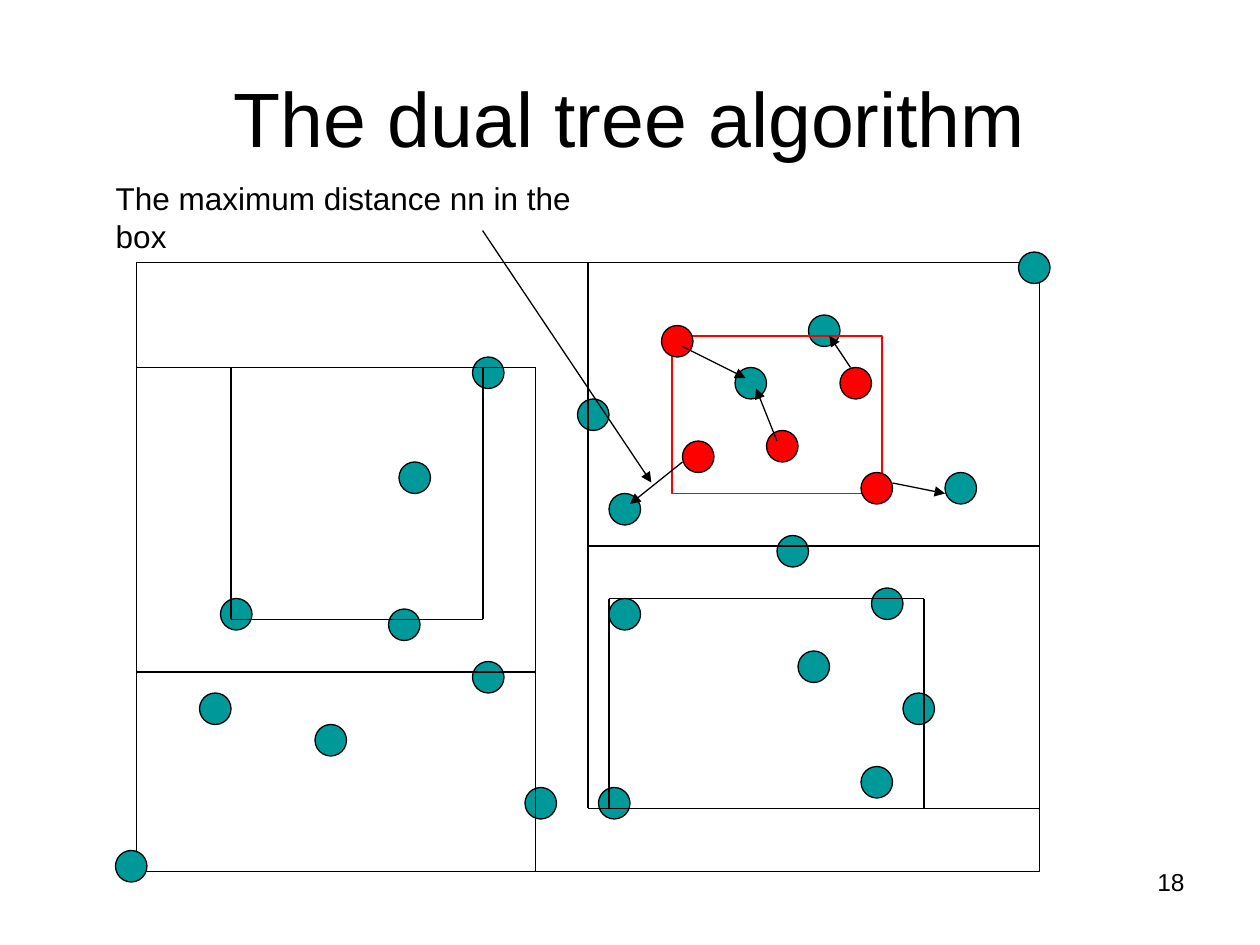
from pptx import Presentation
from pptx.dml.color import RGBColor
from pptx.enum.shapes import MSO_CONNECTOR, MSO_SHAPE
from pptx.enum.text import MSO_ANCHOR, PP_ALIGN
from pptx.oxml.ns import qn
from pptx.util import Inches, Pt
from lxml import etree

BLACK = RGBColor(0x00, 0x00, 0x00)
TEAL = RGBColor(0x00, 0x99, 0x99)
RED = RGBColor(0xFF, 0x00, 0x00)
FONT = "Arial"
STRAIGHT = MSO_CONNECTOR.STRAIGHT
RECTANGLE, OVAL = MSO_SHAPE.RECTANGLE, MSO_SHAPE.OVAL
LEFT, CENTER, RIGHT = PP_ALIGN.LEFT, PP_ALIGN.CENTER, PP_ALIGN.RIGHT
TOP, MIDDLE = MSO_ANCHOR.TOP, MSO_ANCHOR.MIDDLE
TOP_SIDE = 0

# The diagram lies on a grid of twelfths of an inch.
GRID = Inches(1) // 12
DOT_SIZE = 3 * GRID

# Grid steps from the top left corner of the whole space
REFERENCE_DOTS = [
    (25, 19), (6, 41), (32, 9), (42, 13), (63, 37), (17, 44), (8, 32),
    (37, 50), (64, 5), (45, 32), (24, 33), (32, 38), (84, -1), (61, 26),
    (77, 20), (-2, 56), (44, 50), (69, 48), (70, 31), (73, 41), (45, 22),
]
MAIN_SPLIT = ((43, 0), (43, 52))
SPLITS = [
    ((43, 52), (86, 52)), ((38, 58), (38, 10)), ((38, 10), (0, 10)),
    ((86, 27), (43, 27)), ((45, 52), (45, 32)), ((45, 32), (75, 32)),
    ((75, 32), (75, 52)), ((38, 39), (0, 39)), ((9, 10), (9, 34)),
    ((9, 34), (33, 34)), ((33, 34), (33, 10)),
]

# Grid steps from the top left corner of the query box
QUERY_DOTS = [(-1, -1), (1, 10), (18, 13), (16, 3), (9, 9)]
INNER_NEIGHBOR = (6, 3)
NEIGHBOR_ARROWS = [
    ((1, 12), (-4, 16)), ((17, 3), (15, 0)), ((10, 10), (8, 5)),
    ((1, 1), (7, 4)), ((21, 14), (26, 15)),
]


def add_text(slide, box, text, size, alignment=LEFT, anchor=TOP, wrap=True):
    text_frame = slide.shapes.add_textbox(*box).text_frame
    text_frame.word_wrap = wrap
    text_frame.vertical_anchor = anchor
    text_frame.text = text
    paragraph = text_frame.paragraphs[0]
    paragraph.alignment = alignment
    font = paragraph.runs[0].font
    font.name, font.size = FONT, Pt(size)
    font.color.rgb = BLACK


def add_outlined(slide, kind, box, line_color, fill_color=None):
    shape = slide.shapes.add_shape(kind, *box)
    shape.shadow.inherit = False
    if fill_color is None:
        shape.fill.background()
    else:
        shape.fill.solid()
        shape.fill.fore_color.rgb = fill_color
    shape.line.color.rgb = line_color
    shape.line.width = Pt(0.75)
    return shape


def add_line(slide, start, end, arrow=False):
    connector = slide.shapes.add_connector(STRAIGHT, *start, *end)
    connector.line.color.rgb = BLACK
    connector.line.width = Pt(0.75)
    if arrow:
        line_element = connector.line._get_or_add_ln()
        etree.SubElement(line_element, qn("a:tailEnd"), type="triangle")
    etree.SubElement(connector._element.spPr, qn("a:effectLst"))
    return connector


def grid_point(box, step):
    """Turn grid steps from the corner of the box into a slide position."""
    return box[0] + step[0] * GRID, box[1] + step[1] * GRID


def add_dot(slide, box, step, color):
    dot_box = (*grid_point(box, step), DOT_SIZE, DOT_SIZE)
    add_outlined(slide, OVAL, dot_box, BLACK, color)


def add_reference_tree(slide, box):
    space = add_outlined(slide, RECTANGLE, box, BLACK)
    for step in REFERENCE_DOTS:
        add_dot(slide, box, step, TEAL)
    main_split = add_line(slide, *(grid_point(box, step) for step in MAIN_SPLIT))
    main_split.begin_connect(space, TOP_SIDE)
    for start, end in SPLITS:
        add_line(slide, grid_point(box, start), grid_point(box, end))


def add_query_node(slide, box):
    """Draw the query box with arrows to the nearest neighbors."""
    add_outlined(slide, RECTANGLE, box, RED)
    for step in QUERY_DOTS:
        add_dot(slide, box, step, RED)
    add_dot(slide, box, INNER_NEIGHBOR, TEAL)
    for start, end in NEIGHBOR_ARROWS:
        add_line(slide, grid_point(box, start), grid_point(box, end), arrow=True)


def main():
    presentation = Presentation()
    presentation.slide_width, presentation.slide_height = Inches(10), Inches(7.5)
    slide = presentation.slides.add_slide(presentation.slide_layouts[6])

    title_box = (Inches(0.5), Inches(0.3), Inches(9), Inches(1.25))
    add_text(slide, title_box, "The dual tree algorithm", 44, CENTER, MIDDLE)

    space_box = (13 * GRID, 25 * GRID, 86 * GRID, 58 * GRID)
    add_reference_tree(slide, space_box)
    query_box = (*grid_point(space_box, (51, 7)), 20 * GRID, 15 * GRID)
    add_query_node(slide, query_box)

    caption_box = (Inches(0.82), Inches(1.37), Inches(4.28), Inches(0.4))
    add_text(slide, caption_box, "The maximum distance nn in the box", 18, wrap=False)
    add_line(slide, (Inches(3.83), Inches(1.83)), (Inches(5.17), Inches(3.83)), arrow=True)

    number_box = (Inches(7.17), Inches(6.83), Inches(2.33), Inches(0.52))
    add_text(slide, number_box, "18", 14, RIGHT)
    presentation.save("out.pptx")


if __name__ == "__main__":
    main()
